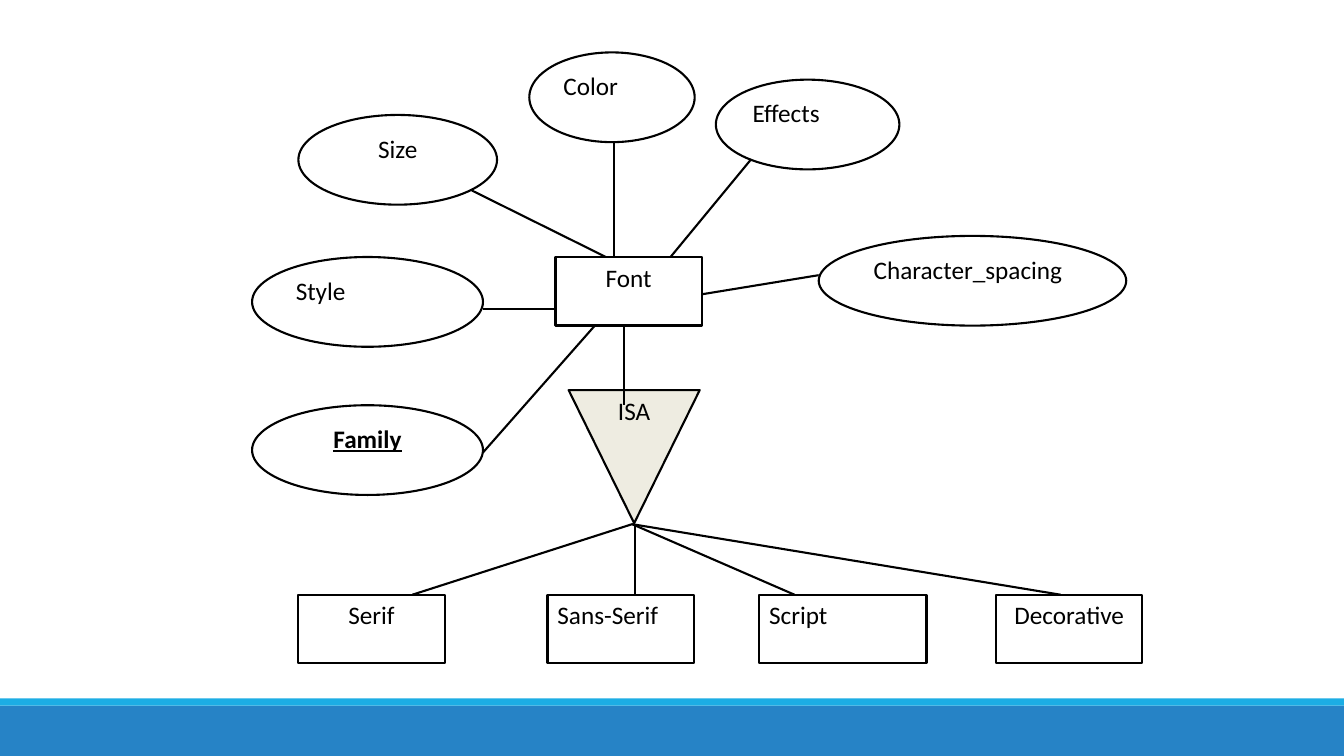
from dataclasses import dataclass

from lxml import etree
from pptx import Presentation
from pptx.dml.color import RGBColor
from pptx.enum.shapes import MSO_CONNECTOR as Connector, MSO_SHAPE as Preset
from pptx.enum.text import MSO_ANCHOR as Anchor, PP_ALIGN as Align
from pptx.oxml.ns import qn
from pptx.util import Inches, Pt


@dataclass(frozen=True)
class Theme:
    ink: RGBColor = RGBColor(0, 0, 0)
    paper: RGBColor = RGBColor(255, 255, 255)
    triangle: RGBColor = RGBColor(0xEE, 0xEC, 0xE1)
    band: RGBColor = RGBColor(0x26, 0x83, 0xC6)
    stripe: RGBColor = RGBColor(0x1C, 0xAD, 0xE4)
    font: str = "Calibri"
    size: Pt = Pt(18)
    space_after: Pt = Pt(10)
    line: Pt = Pt(1.5)


@dataclass(frozen=True)
class Box:
    left: float
    top: float
    width: float
    height: float

    def inner(self, left, top, width, height):
        return Box(self.left + left, self.top + top, width, height)

    def point(self, x, y):
        return Inches(self.left + x), Inches(self.top + y)


THEME = Theme()
OVAL_HEIGHT = 0.89
ENTITY_WIDTH, ENTITY_HEIGHT = 1.45, 0.68


def add_filled(slide, preset, box, fill):
    shape = slide.shapes.add_shape(preset, *box.point(0, 0), Inches(box.width), Inches(box.height))
    shape.shadow.inherit = False
    shape.fill.solid()
    shape.fill.fore_color.rgb = fill
    shape.line.fill.background()
    return shape


def add_node(slide, preset, box, label, align=Align.CENTER, fill=THEME.paper, key=False):
    shape = add_filled(slide, preset, box, fill)
    shape.line.color.rgb = THEME.ink
    shape.line.width = THEME.line
    frame = shape.text_frame
    frame.word_wrap = True
    frame.vertical_anchor = Anchor.TOP
    paragraph = frame.paragraphs[0]
    paragraph.text = label
    paragraph.alignment = align
    paragraph.space_after = THEME.space_after
    font = paragraph.runs[0].font
    font.name, font.size = THEME.font, THEME.size
    font.color.rgb = THEME.ink
    if key:
        font.bold = font.underline = True


def add_link(slide, box, start, end):
    link = slide.shapes.add_connector(Connector.STRAIGHT, *box.point(*start), *box.point(*end))
    link.line.color.rgb = THEME.ink
    link.line.width = THEME.line
    etree.SubElement(link._element.spPr, qn("a:effectLst"))


def add_footer(slide, box):
    stripe_height = 0.07
    add_filled(slide, Preset.RECTANGLE,
               box.inner(0, stripe_height, box.width, box.height - stripe_height), THEME.band)
    add_filled(slide, Preset.RECTANGLE, box.inner(0, 0, box.width, stripe_height), THEME.stripe)


def add_attributes(slide, box):
    """The Font entity and its attribute ovals."""
    add_node(slide, Preset.RECTANGLE, box.inner(3.01, 2.03, ENTITY_WIDTH, ENTITY_HEIGHT), "Font")
    # Label, left, top, width, alignment, link from oval, link to entity
    attributes = [
        ("Family", 0, 3.5, 2.29, Align.CENTER, (2.29, 3.97), (3.4, 2.71)),
        ("Size", 0.46, 0.62, 1.97, Align.CENTER, (2.18, 1.37), (3.51, 2.03)),
        ("Color", 2.75, 0, 1.64, Align.LEFT, (3.59, 0.89), (3.59, 2.03)),
        ("Effects", 4.6, 0.27, 1.82, Align.LEFT, (4.95, 1.06), (4.15, 2.03)),
        ("Character_spacing", 5.62, 1.82, 3.05, Align.LEFT, (5.62, 2.21), (4.46, 2.4)),
        ("Style", 0, 2.03, 2.29, Align.LEFT, (2.29, 2.55), (3.01, 2.55)),
    ]
    for label, left, top, width, align, start, end in attributes:
        add_node(slide, Preset.OVAL, box.inner(left, top, width, OVAL_HEIGHT), label, align,
                 key=label == "Family")
        add_link(slide, box, start, end)


def add_subtypes(slide, box):
    """The ISA triangle and the entities below it."""
    apex_y = 1.97
    entity_top = box.height - ENTITY_HEIGHT
    # Label, left, width, alignment, link start x, link end x
    subtypes = [
        ("Serif", 0, ENTITY_WIDTH, Align.CENTER, 3.31, 1.13),
        ("Sans-Serif", 2.47, ENTITY_WIDTH, Align.LEFT, 3.34, 3.34),
        ("Script", 4.57, 1.66, Align.LEFT, 3.31, 4.92),
        ("Decorative", 6.92, ENTITY_WIDTH, Align.CENTER, 3.31, 7.56),
    ]
    for label, left, width, align, start_x, end_x in subtypes:
        add_node(slide, Preset.RECTANGLE, box.inner(left, entity_top, width, ENTITY_HEIGHT),
                 label, align)
        add_link(slide, box, (start_x, apex_y), (end_x, entity_top))
    add_node(slide, Preset.FLOWCHART_MERGE, box.inner(2.68, 0.64, 1.3, 1.32), "ISA",
             fill=THEME.triangle)
    add_link(slide, box, (3.23, 0), (3.23, 0.79))


def main():
    presentation = Presentation()
    presentation.slide_width, presentation.slide_height = Inches(13.33), Inches(7.5)
    slide = presentation.slides.add_slide(presentation.slide_layouts[6])
    add_footer(slide, Box(0, 6.93, 13.33, 0.57))
    add_attributes(slide, Box(2.5, 0.52, 8.67, 4.39))
    add_subtypes(slide, Box(2.96, 3.23, 8.37, 3.35))
    presentation.save("out.pptx")


if __name__ == "__main__":
    main()
